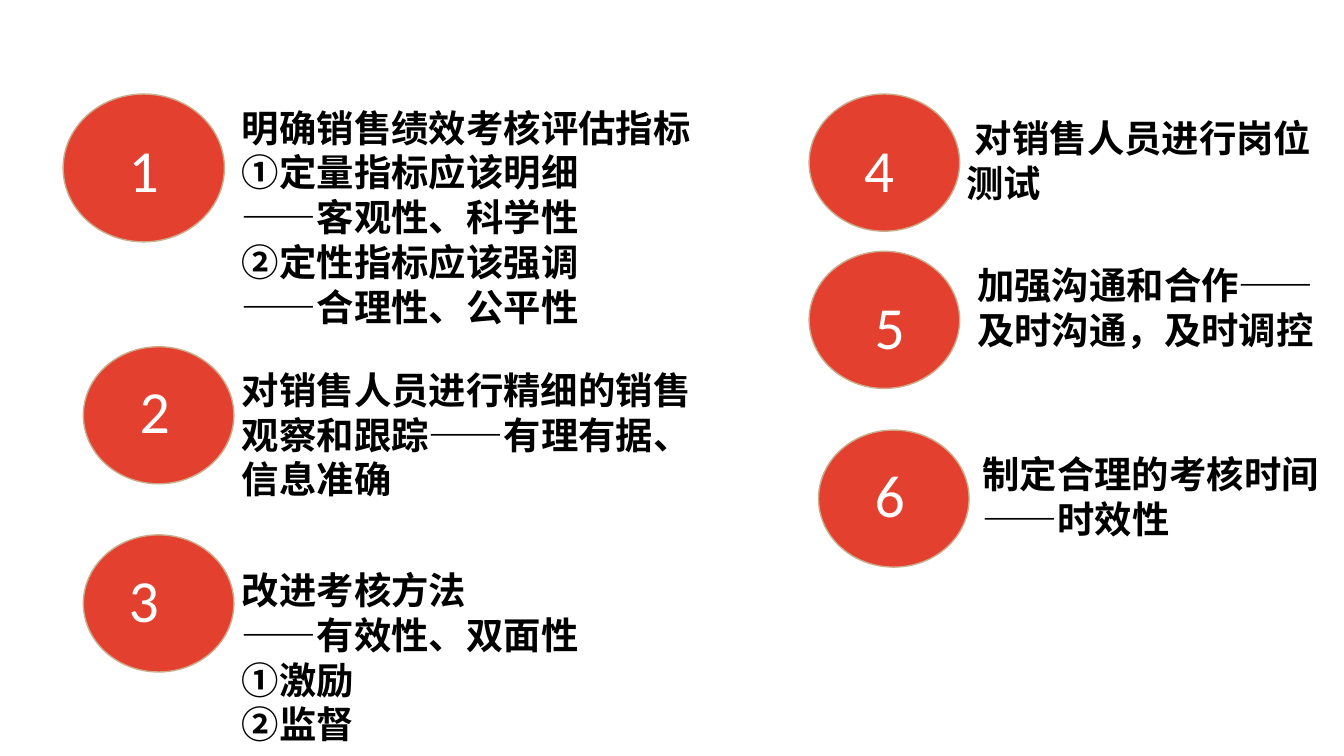
from dataclasses import dataclass

from pptx import Presentation
from pptx.dml.color import RGBColor
from pptx.enum import shapes, text
from pptx.util import Inches, Pt


@dataclass(frozen=True)
class Theme:
    font: str = "Calibri"
    disc: str = "E4402F"
    rim: str = "CBAB89"
    ink: str = "000000"
    number: str = "FFFFFF"
    body_size: int = 20
    number_size: int = 32
    rim_width: float = 0.75


class Painter:
    def __init__(self, page, theme):
        self.page = page
        self.theme = theme

    def disc(self, left, top, width, height):
        disc = self.page.shapes.add_shape(
            shapes.MSO_SHAPE.OVAL, *map(Inches, (left, top, width, height)))
        disc.shadow.inherit = False
        disc.fill.solid()
        disc.fill.fore_color.rgb = RGBColor.from_string(self.theme.disc)
        disc.line.color.rgb = RGBColor.from_string(self.theme.rim)
        disc.line.width = Pt(self.theme.rim_width)

    def words(self, place, lines, size, color, bold=False, inset=None):
        box = self.page.shapes.add_textbox(*map(Inches, place))
        frame = box.text_frame
        settings = {"word_wrap": True,
                    "auto_size": text.MSO_AUTO_SIZE.SHAPE_TO_FIT_TEXT}
        if inset is not None:
            for side in ("left", "top", "right", "bottom"):
                settings[f"margin_{side}"] = Inches(inset)
        for name, value in settings.items():
            setattr(frame, name, value)
        for index, line in enumerate(lines):
            para = frame.add_paragraph() if index else frame.paragraphs[0]
            span = para.add_run()
            span.text = line
            style = {"name": self.theme.font, "size": Pt(size), "bold": bold}
            for name, value in style.items():
                setattr(span.font, name, value)
            span.font.color.rgb = RGBColor.from_string(color)

    def number(self, value, left, top):
        self.words((left, top, 0.7, 0.64), [str(value)],
                   self.theme.number_size, self.theme.number)

    def advice(self, place, lines):
        self.words(place, lines, self.theme.body_size, self.theme.ink,
                   bold=True, inset=0)


LARGE = (1.2, 1.1)
SMALL = (1.12, 1.02)

POINTS = [
    ((0.47, 0.7), LARGE, (0.86, 0.94), (1.8, 0.78, 5.55, 1.82),
     ["明确销售绩效考核评估指标", "①定量指标应该明细", "——客观性、科学性",
      "②定性指标应该强调", "——合理性、公平性"]),
    ((0.62, 2.58), SMALL, (0.94, 2.73), (1.8, 2.73, 3.36, 1.01),
     ["对销售人员进行精细的销售观察和跟踪——有理有据、信息准确"]),
    ((0.62, 3.98), SMALL, (0.86, 4.14), (1.8, 4.22, 4.3, 2.02),
     ["改进考核方法", "——有效性、双面性", "①激励", "②监督"]),
    ((6.02, 0.7), SMALL, (6.33, 0.94), (7.19, 0.86, 2.69, 0.81),
     [" 对销售人员进行岗位测试"]),
    ((6.02, 1.87), SMALL, (6.41, 2.11), (7.27, 1.95, 2.58, 0.81),
     ["加强沟通和合作——及时沟通，及时调控"]),
    ((6.09, 3.2), SMALL, (6.41, 3.36), (7.31, 3.36, 2.69, 0.81),
     ["制定合理的考核时间——时效性"]),
]


def main():
    deck = Presentation()
    deck.slide_width = Inches(10)
    deck.slide_height = deck.slide_width * 9 // 16
    page = deck.slides.add_slide(deck.slide_layouts[6])
    painter = Painter(page, Theme())
    for value, (corner, size, label, place, lines) in enumerate(POINTS, 1):
        painter.disc(*corner, *size)
        painter.number(value, *label)
        painter.advice(place, lines)
    deck.save("out.pptx")


if __name__ == "__main__":
    main()
